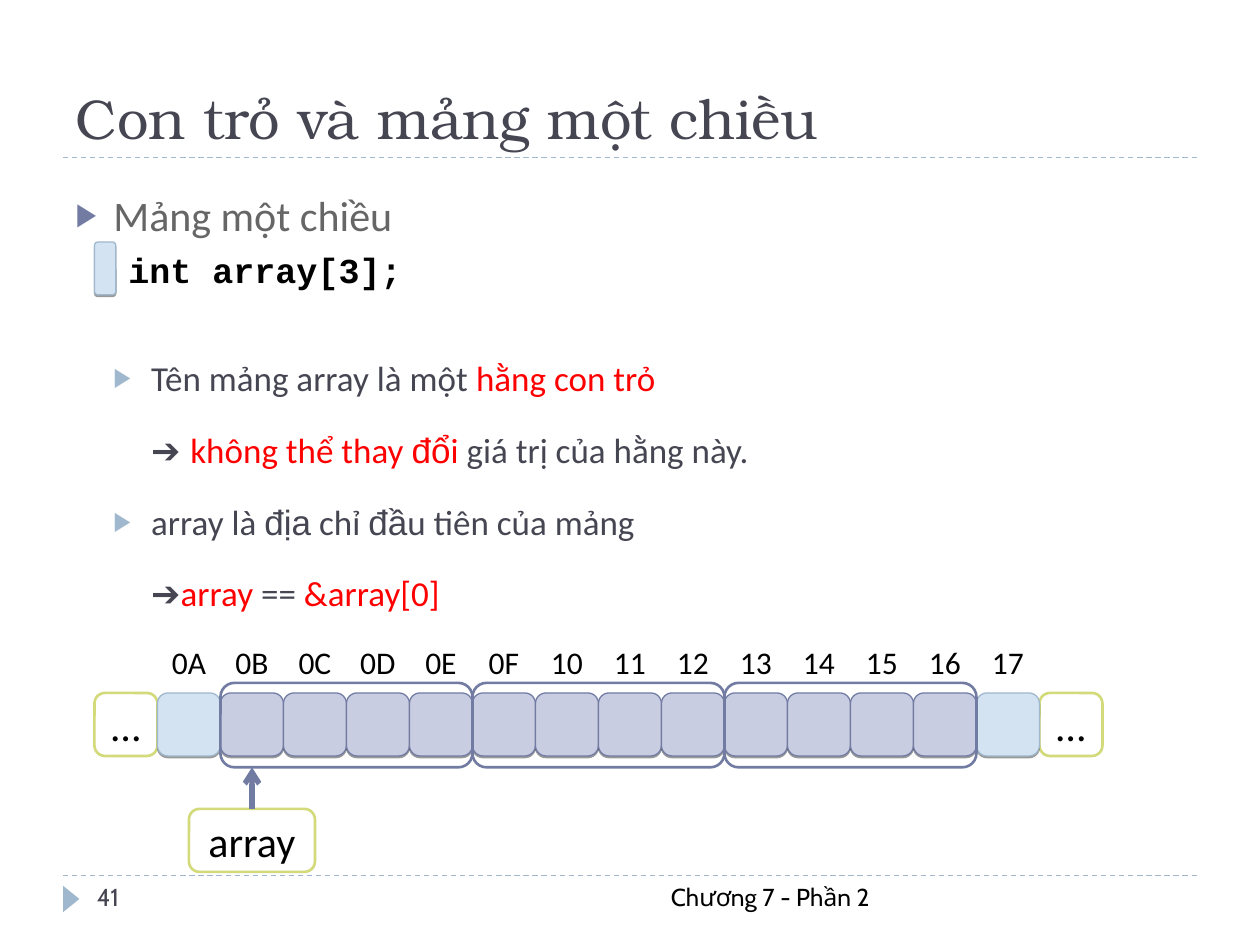
import pptx
import pptx.util
import pptx.dml.color
import pptx.enum.dml
import pptx.enum.shapes
import pptx.enum.text
import pptx.oxml
import pptx.oxml.ns

Inches, Pt = pptx.util.Inches, pptx.util.Pt
SHAPE = pptx.enum.shapes.MSO_SHAPE
ALIGN = pptx.enum.text.PP_ALIGN
ANCHOR = pptx.enum.text.MSO_ANCHOR

INK, GREY, RED, BLACK, WHITE = "464653", "666666", "FF0000", "000000", "FFFFFF"
INDIGO, INDIGO_TINT = "727CA3", "C9CDE2"
BLUE, BLUE_TINT = "9FB8CD", "D3E3F2"
LIME = "D2DA7A"

CELL = 0.5
ADDRESSES = "0A 0B 0C 0D 0E 0F 10 11 12 13 14 15 16 17".split()
INT_COUNT, INT_BYTES = 3, 4


def rgb(color):
    return pptx.dml.color.RGBColor.from_string(color)


def add_xml(parent, tag, attributes="", content=""):
    """Append one DrawingML element to parent."""
    namespace = pptx.oxml.ns.nsdecls("a")
    parent.append(pptx.oxml.parse_xml(
        f"<a:{tag} {namespace} {attributes}>{content}</a:{tag}>"))


def add_text(paragraph, text, size=20, font="Calibri", color=BLACK, bold=False, align=None):
    run = paragraph.add_run()
    run.text = text
    run.font.size = Pt(size)
    run.font.name = font
    run.font.color.rgb = rgb(color)
    run.font.bold = bold
    if align is not None:
        paragraph.alignment = align


def add_label(slide, box, text, **text_format):
    frame = slide.shapes.add_textbox(*map(Inches, box)).text_frame
    frame.word_wrap = True
    add_text(frame.paragraphs[0], text, **text_format)


def add_box(slide, box, fill=None, line=None, width=0.75, shadow=False,
            text=None, size=24, kind=SHAPE.ROUNDED_RECTANGLE):
    shape = slide.shapes.add_shape(kind, *map(Inches, box))
    shape.shadow.inherit = False
    if fill:
        shape.fill.solid()
        shape.fill.fore_color.rgb = rgb(fill)
    else:
        shape.fill.background()
    if line:
        shape.line.color.rgb = rgb(line)
        shape.line.width = Pt(width)
    else:
        shape.line.fill.background()
    if shadow:
        effects = shape._element.spPr.find(pptx.oxml.ns.qn("a:effectLst"))
        add_xml(effects, "outerShdw",
                f'blurRad="0" dist="{Pt(1)}" dir="5400000" rotWithShape="0"',
                '<a:srgbClr val="000000"><a:alpha val="40000"/></a:srgbClr>')
    if text:
        frame = shape.text_frame
        frame.word_wrap = False
        frame.vertical_anchor = ANCHOR.MIDDLE
        add_text(frame.paragraphs[0], text, size=size, align=ALIGN.CENTER)
    return shape


def add_line(slide, start, end, color, width, dashed=False, arrow=False):
    line = slide.shapes.add_connector(
        pptx.enum.shapes.MSO_CONNECTOR.STRAIGHT, *map(Inches, start + end))
    line.line.color.rgb = rgb(color)
    line.line.width = Pt(width)
    if dashed:
        line.line.dash_style = pptx.enum.dml.MSO_LINE.DASH
    if arrow:
        add_xml(line.line._get_or_add_ln(), "tailEnd", 'type="arrow"')
    add_xml(line._element.spPr, "effectLst")


def place(placeholder, box, anchor):
    """Move a placeholder and return its text frame."""
    placeholder.left, placeholder.top, placeholder.width, placeholder.height = map(Inches, box)
    frame = placeholder.text_frame
    frame.word_wrap = True
    frame.auto_size = pptx.enum.text.MSO_AUTO_SIZE.NONE
    frame.vertical_anchor = anchor
    return frame


def add_title(slide, box):
    frame = place(slide.shapes.title, box, ANCHOR.BOTTOM)
    add_text(frame.paragraphs[0], "Con trỏ và mảng một chiều", size=32,
             font="TeX Gyre Bonum", color=INK, align=ALIGN.LEFT)


def format_point(paragraph, level, before, bullet):
    paragraph.level = level
    paragraph.line_spacing = 1.5
    paragraph.space_before = Pt(before)
    properties = paragraph._p.get_or_add_pPr()
    properties.set("marL", str(Inches(0.3 * (level + 1))))
    properties.set("indent", str(Inches(-0.3) if bullet else 0))
    if bullet:
        add_xml(properties, "buClr", content=f'<a:srgbClr val="{bullet}"/>')
        add_xml(properties, "buSzPct", 'val="76000"')
        add_xml(properties, "buFont", 'typeface="Arial"')
        add_xml(properties, "buChar", 'char="▶"')
    else:
        add_xml(properties, "buNone")


def add_points(slide, box):
    # Each point: level, space before, bullet colour, (text, colour, font) runs.
    points = [
        (0, 6, INDIGO, [("Mảng một chiều", GREY, "Calibri")]),
        (1, 55, BLUE, [("Tên mảng array là một ", INK, "Calibri"),
                       ("hằng con trỏ", RED, "Calibri")]),
        (1, 5, None, [("➔ ", INK, "Arial"), ("không thể thay ", RED, "Calibri"),
                      ("đổ", RED, "Arial"), ("i", RED, "Calibri"),
                      (" giá trị của hằng này.", INK, "Calibri")]),
        (1, 5, BLUE, [("array là ", INK, "Calibri"), ("địa", INK, "Arial"),
                      (" chỉ ", INK, "Calibri"), ("đầ", INK, "Arial"),
                      ("u tiên của mảng", INK, "Calibri")]),
        (1, 5, None, [("➔", INK, "Arial"), ("array", RED, "Calibri"),
                      (" == ", INK, "Calibri"), ("&array[0]", RED, "Calibri")]),
    ]
    frame = place(slide.placeholders[1], box, ANCHOR.TOP)
    for index, (level, before, bullet, runs) in enumerate(points):
        paragraph = frame.add_paragraph() if index else frame.paragraphs[0]
        format_point(paragraph, level, before, bullet)
        for text, color, font in runs:
            add_text(paragraph, text, size=20 if level else 24, font=font, color=color)


def add_declaration(slide, box):
    left, top, width, height = box
    marker = 0.17
    add_box(slide, (left, top, marker, height), BLUE_TINT, BLUE, shadow=True)
    add_label(slide, (left + marker, top, width - marker, height), "int array[3];",
              font="Courier New", bold=True)


def add_memory(slide, left, top):
    """Draw the byte cells with addresses, the three ints and the array pointer."""
    cells_top = top + CELL
    first_int = left + 2 * CELL
    ints_top, int_width, int_height = cells_top - 0.08, INT_BYTES * CELL, 0.67

    for column in (0, len(ADDRESSES) + 1):
        add_box(slide, (left + column * CELL, cells_top, CELL, CELL), WHITE, LIME, 1.5,
                text="…")

    array_bytes = range(1, 1 + INT_COUNT * INT_BYTES)
    for index, address in enumerate(ADDRESSES):
        x = left + (index + 1) * CELL
        fill, line = (INDIGO_TINT, INDIGO) if index in array_bytes else (BLUE_TINT, BLUE)
        add_box(slide, (x, top, CELL, CELL), text=address, size=18)
        add_box(slide, (x, cells_top, CELL, CELL), fill, line, shadow=True)
    for index in range(INT_COUNT):
        add_box(slide, (first_int + index * int_width, ints_top, int_width, int_height),
                line=INDIGO, width=1.5)

    pointer_x, pointer_top, pointer_width = first_int + CELL / 2, cells_top + 0.92, 2 * CELL
    add_box(slide, (pointer_x - pointer_width / 2, pointer_top, pointer_width, CELL),
            WHITE, LIME, 1.5, text="array")
    add_line(slide, (pointer_x, pointer_top), (pointer_x, ints_top + int_height),
             INDIGO, 3, arrow=True)


def add_footer(slide, left, top, width):
    add_line(slide, (left, top), (left + width, top), BLUE, 0.75, dashed=True)
    marker = add_box(slide, (left - 0.04, top + 0.12, 0.21, 0.13), BLUE,
                     kind=SHAPE.ISOSCELES_TRIANGLE)
    marker.rotation = 90
    add_label(slide, (left + 0.17, top, 2.17, 0.4), "41", size=14, font="Cabin", color=INK)
    add_label(slide, (left + 2.67, top, 3.83, 0.4), "Chương 7 - Phần 2", size=14,
              font="Cabin", align=ALIGN.RIGHT)


def main():
    deck = pptx.Presentation()
    deck.slide_width, deck.slide_height = Inches(10), Inches(7.5)
    slide = deck.slides.add_slide(deck.slide_layouts[1])
    add_line(slide, (0.5, 1.25), (9.5, 1.25), BLUE, 0.75, dashed=True)
    add_title(slide, (0.5, 0.17, 9, 1.08))
    add_points(slide, (0.5, 1.25, 9, 5.25))
    add_declaration(slide, (0.75, 1.92, 9.25, 0.42))
    add_memory(slide, 0.75, 5)
    add_footer(slide, 0.5, 6.95, 9)
    deck.save("out.pptx")


if __name__ == "__main__":
    main()
